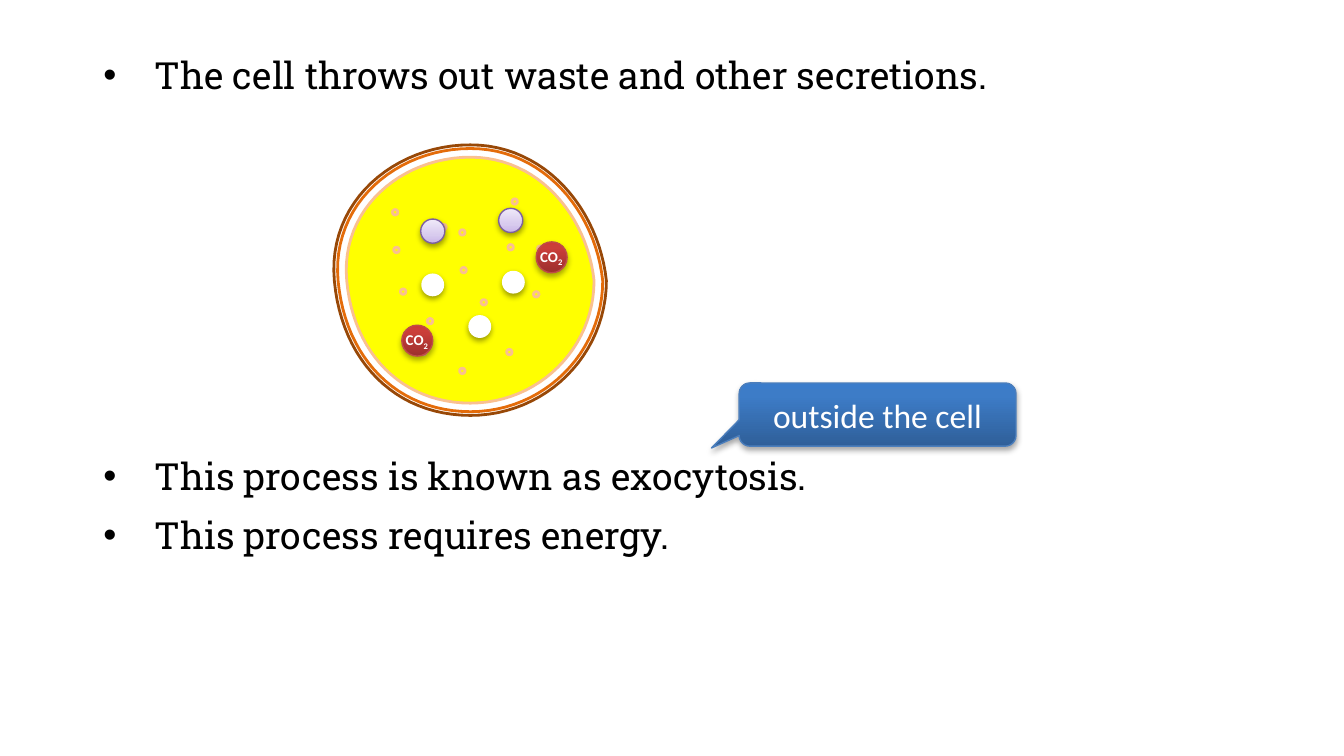
from dataclasses import dataclass

from pptx import Presentation
from pptx import util as u
from pptx.dml.color import RGBColor
from pptx.enum import shapes, text
from pptx.oxml import parse_xml
from pptx.oxml.ns import nsdecls, qn

PX = 9144  # EMU per px, 100 px to the inch


@dataclass(frozen=True)
class Theme:
    body_font: str = "Roboto Slab"
    label_font: str = "Calibri"
    body_size: int = 20
    callout_size: int = 18
    gas_size: int = 8
    ink: str = "000000"
    white: str = "FFFFFF"
    cytoplasm: str = "FFFF00"
    membrane: tuple = ("FAC090", "E46C0A", "984807")
    vesicle: tuple = ((0, "C9B5E8"), (35, "D8CBEE"), (100, "F0EAF9"))
    vesicle_line: str = "7D60A0"
    gas: tuple = ((0, "9C2F2D"), (80, "CB3E3A"), (100, "CE3B37"))
    gas_line: str = "BF4C48"
    callout: tuple = ((0, "2F5F99"), (80, "3D7CC7"), (100, "3A7CCB"))
    callout_line: str = "4B7EBC"


theme = Theme()


def paint(shape, fill, line, width=0.75, shadow=None):
    """Fill with a colour, gradient stops or nothing; shadow is (alpha %, distance pt)."""
    shape.shadow.inherit = False
    props = shape._element.spPr
    if fill is None:
        shape.fill.background()
    elif isinstance(fill, str):
        shape.fill.solid()
        shape.fill.fore_color.rgb = RGBColor.from_string(fill)
    else:
        shape.fill.gradient()
        shape.fill.gradient_angle = 90
        stops = props.find(qn("a:gradFill")).find(qn("a:gsLst"))
        for stop in list(stops):
            stops.remove(stop)
        for place, colour in fill:
            stops.append(parse_xml(
                f'<a:gs {nsdecls("a")} pos="{place * 1000}"><a:srgbClr val="{colour}"/></a:gs>'))
    shape.line.color.rgb = RGBColor.from_string(line)
    shape.line.width = u.Pt(width)
    if shadow:
        alpha, distance = shadow
        props.find(qn("a:effectLst")).append(parse_xml(
            f'<a:outerShdw {nsdecls("a")} blurRad="{u.Pt(3.1)}" dist="{u.Pt(distance)}" '
            f'dir="5400000" rotWithShape="0"><a:srgbClr val="000000">'
            f'<a:alpha val="{alpha * 1000}"/></a:srgbClr></a:outerShdw>'))


def add_span(para, words, font, size, colour, bold=False):
    span = para.add_run()
    span.text = words
    span.font.name = font
    span.font.size = u.Pt(size)
    span.font.bold = bold
    span.font.color.rgb = RGBColor.from_string(colour)
    return span


# Widescreen page, 16:9
deck = Presentation()
deck.slide_width = 1000 * PX
deck.slide_height = deck.slide_width * 9 // 16
page = deck.slides.add_slide(deck.slide_layouts.get_by_name("Comparison"))

# Bulleted statements
statements = [
    (1, 34, "The cell throws out waste and other secretions."),
    (2, 332, "This process is known as exocytosis."),
    (3, 376, "This process requires energy."),
]
for index, top, words in statements:
    box = page.placeholders[index]
    box.left, box.top, box.width, box.height = (n * PX for n in (67, top, 867, 44))
    frame = box.text_frame
    frame.word_wrap = True
    frame.auto_size = text.MSO_AUTO_SIZE.NONE
    frame.vertical_anchor = text.MSO_ANCHOR.TOP
    para = frame.paragraphs[0]
    para.space_before = u.Pt(6)
    para.line_spacing = 1.0
    add_span(para, words, theme.body_font, theme.body_size, theme.ink)
    props = para._p.get_or_add_pPr()
    props.set("marL", str(38 * PX))
    props.set("indent", str(-38 * PX))
    props.append(parse_xml(f'<a:buFont {nsdecls("a")} typeface="Arial"/>'))
    props.append(parse_xml(f'<a:buChar {nsdecls("a")} char="•"/>'))

for index in (0, 4):
    spare = page.placeholders[index]._element
    spare.getparent().remove(spare)

# Cell membrane: one closed Bezier outline, enlarged about its centre
CENTRE = (350, 209)
OUTLINE = [
    ((-92, 0), (-97, -54), (-51, -92), (0, -92)),
    ((0, -92), (51, -92), (87, -48), (92, 0)),
    ((92, 0), (92, 50), (51, 91), (0, 91)),
    ((0, 91), (-51, 91), (-87, 54), (-92, 0)),
]
STEPS = 24
for growth, colour in zip((1, 1.07, 1.1), theme.membrane):
    points = []
    for curve in OUTLINE:
        for step in range(STEPS):
            t = step / STEPS
            weights = ((1 - t) ** 3, 3 * t * (1 - t) ** 2, 3 * t * t * (1 - t), t ** 3)
            points.append(tuple(
                round((CENTRE[axis] + growth * sum(
                    w * knot[axis] for w, knot in zip(weights, curve))) * PX)
                for axis in (0, 1)))
    builder = page.shapes.build_freeform(*points[0], scale=1.0)
    builder.add_line_segments(points[1:], close=True)
    membrane = builder.convert_to_shape()
    paint(membrane, theme.cytoplasm if growth == 1 else None, colour, 1.5)

# Particles: left, top, by kind
granules = [
    (358, 223), (318, 237), (298, 215), (342, 171), (397, 217), (377, 260),
    (342, 274), (313, 260), (343, 199), (378, 182), (292, 156), (293, 184),
    (328, 167), (400, 183), (381, 148),
]
vesicles = [(313, 163), (371, 155)]
droplets = [(314, 204), (374, 202), (349, 235)]
gases = [(399, 180), (299, 242)]
particles = [
    (granules, 4, theme.cytoplasm, theme.membrane[0], 1.5, None),
    (vesicles, 18, theme.vesicle, theme.vesicle_line, 0.75, (38, 1.6)),
    (droplets, 16, theme.white, theme.white, 0.75, (38, 1.6)),
    (gases, 23, theme.gas, theme.gas_line, 0.75, (35, 1.8)),
]
for places, size, fill, line, width, shadow in particles:
    for left, top in places:
        particle = page.shapes.add_shape(
            shapes.MSO_SHAPE.OVAL, left * PX, top * PX, size * PX, size * PX)
        paint(particle, fill, line, width, shadow)

# Gas labels
for left, top in gases:
    label = page.shapes.add_textbox((left - 7) * PX, (top - 1) * PX, 38 * PX, 24 * PX)
    label.text_frame.word_wrap = False
    para = label.text_frame.paragraphs[0]
    for words in ("CO", "2"):
        span = add_span(para, words, theme.label_font, theme.gas_size, theme.white, True)
    span._r.get_or_add_rPr().set("baseline", "-25000")

# Callout
callout = page.shapes.add_shape(
    shapes.MSO_SHAPE.ROUNDED_RECTANGULAR_CALLOUT, 550 * PX, 285 * PX, 206 * PX, 47 * PX)
for index, value in enumerate((-0.6, 0.53, 0.17)):
    callout.adjustments[index] = value
paint(callout, theme.callout, theme.callout_line, shadow=(35, 1.8))
callout.text_frame.word_wrap = True
callout.text_frame.vertical_anchor = text.MSO_ANCHOR.MIDDLE
para = callout.text_frame.paragraphs[0]
para.alignment = text.PP_ALIGN.CENTER
add_span(para, "outside the cell", theme.label_font, theme.callout_size, theme.white)

deck.save("out.pptx")
